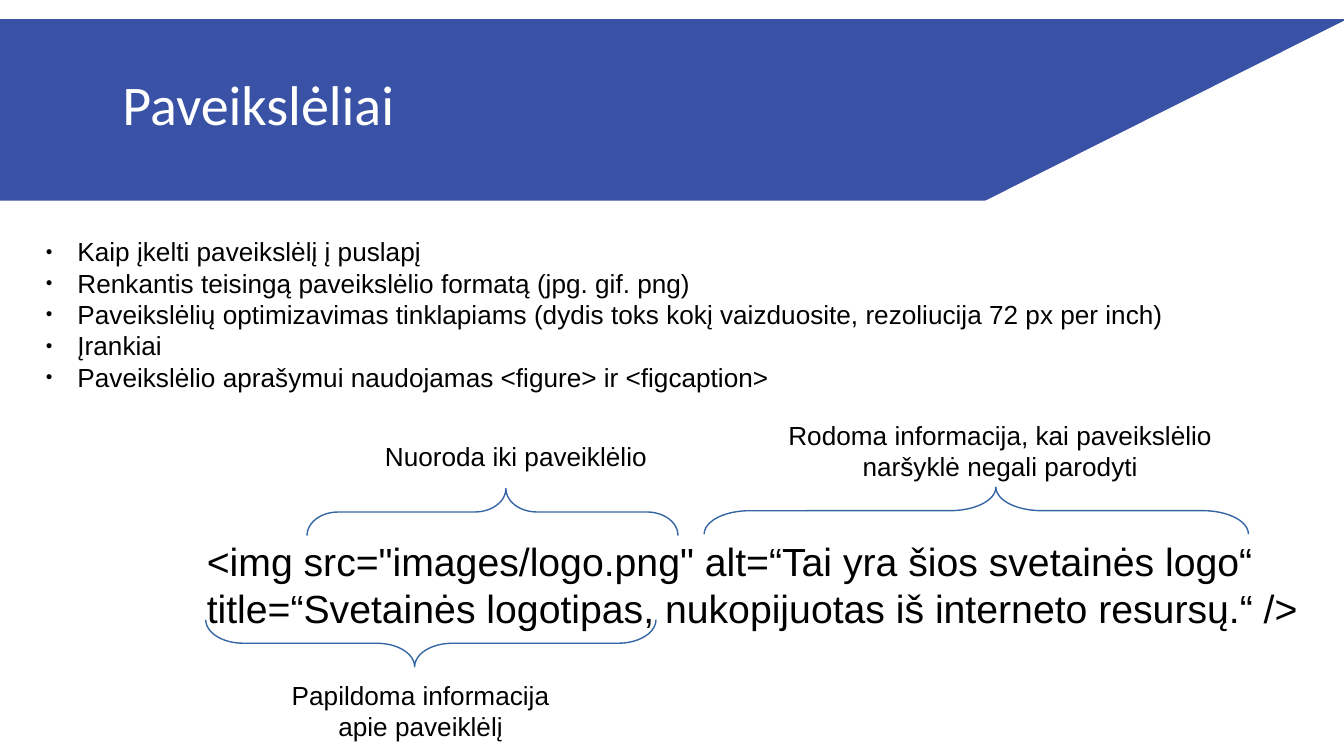
from dataclasses import dataclass

from lxml.etree import SubElement
from pptx import Presentation
from pptx.dml.color import RGBColor
from pptx.enum.shapes import MSO_SHAPE
from pptx.enum.text import MSO_ANCHOR, MSO_AUTO_SIZE, PP_ALIGN
from pptx.oxml.ns import qn
from pptx.util import Pt

BLUE = "3952A6"
BRACE_BLUE = "3465A4"
WHITE = "FFFFFF"
BLACK = "000000"
INDENT = 17
BRACE_DEPTH = 25.2
BRACE_TIP = 0.464

TOPICS = [
    "Kaip įkelti paveikslėlį į puslapį",
    "Renkantis teisingą paveikslėlio formatą (jpg. gif. png)",
    "Paveikslėlių optimizavimas tinklapiams (dydis toks kokį vaizduosite, rezoliucija 72 px per inch)",
    "Įrankiai",
    "Paveikslėlio aprašymui naudojamas <figure> ir <figcaption>",
]
IMG_TAG = [
    '<img src="images/logo.png" alt=“Tai yra šios svetainės logo“',
    "title=“Svetainės logotipas, nukopijuotas iš interneto resursų.“ />",
]


@dataclass
class Box:
    left: float
    top: float
    width: float
    height: float

    def lengths(self) -> tuple:
        return Pt(self.left), Pt(self.top), Pt(self.width), Pt(self.height)


@dataclass
class Annotation:
    caption: str
    caption_box: Box
    brace_left: float
    brace_top: float
    brace_length: float
    rotation: int


ANNOTATIONS = [
    Annotation("Nuoroda iki paveiklėlio", Box(198.7, 232.6, 155.5, 25.2),
               164.5, 261.7, 198.7, 90),
    Annotation("Papildoma informacija apie paveiklėlį", Box(147.6, 360.3, 155.5, 38.9),
               110.2, 332, 241.2, 270),
    Annotation("Rodoma informacija, kai paveikslėlio naršyklė negali parodyti",
               Box(413.8, 221, 244.1, 38.9), 377.2, 261, 291.6, 90),
]


def color(value: str) -> RGBColor:
    return RGBColor.from_string(value)


def add_preset(slide, preset, box: Box, fill: str | None, line: str | None, weight: float = 0):
    shape = slide.shapes.add_shape(preset, *box.lengths())
    shape.shadow.inherit = False
    if fill:
        shape.fill.solid()
        shape.fill.fore_color.rgb = color(fill)
    else:
        shape.fill.background()
    if line:
        shape.line.color.rgb = color(line)
        shape.line.width = Pt(weight)
    else:
        shape.line.fill.background()
    return shape


def write_text(holder, lines: list[str], size: float, font: str, ink: str,
               align=PP_ALIGN.LEFT, margin: float = 3.6, spacing: float = 1.0) -> None:
    frame = holder.text_frame
    frame.text = "\n".join(lines)
    frame.word_wrap = True
    frame.auto_size = MSO_AUTO_SIZE.NONE
    frame.vertical_anchor = MSO_ANCHOR.TOP
    frame.margin_left = frame.margin_right = Pt(7.2)
    frame.margin_top = frame.margin_bottom = Pt(margin)
    for paragraph in frame.paragraphs:
        paragraph.alignment = align
        paragraph.line_spacing = spacing
        paragraph.space_before = Pt(0)
        for run in paragraph.runs:
            run.font.size = Pt(size)
            run.font.name = font
            run.font.color.rgb = color(ink)


def place(holder, box: Box) -> None:
    holder.left, holder.top, holder.width, holder.height = box.lengths()


def add_bullet(paragraph) -> None:
    properties = paragraph._p.get_or_add_pPr()
    properties.set("marL", str(Pt(INDENT)))
    properties.set("indent", str(-Pt(INDENT)))
    bullet_color = SubElement(properties, qn("a:buClr"))
    SubElement(bullet_color, qn("a:srgbClr"), val=BLACK)
    SubElement(properties, qn("a:buSzPct"), val="45000")
    SubElement(properties, qn("a:buFont"), typeface="Arial")
    SubElement(properties, qn("a:buChar"), char="●")


def add_text(slide, box: Box, lines: list[str], size: float, align=PP_ALIGN.LEFT) -> None:
    holder = slide.shapes.add_textbox(*box.lengths())
    write_text(holder, lines, size, "Arial", BLACK, align)


def add_annotation(slide, note: Annotation) -> None:
    offset = (note.brace_length - BRACE_DEPTH) / 2
    upright = Box(note.brace_left + offset, note.brace_top - offset,
                  BRACE_DEPTH, note.brace_length)
    brace = add_preset(slide, MSO_SHAPE.LEFT_BRACE, upright, None, BRACE_BLUE)
    brace.rotation = note.rotation
    brace.adjustments[0] = note.brace_length / 12 / BRACE_DEPTH
    brace.adjustments[1] = BRACE_TIP
    add_text(slide, note.caption_box, [note.caption], 14, PP_ALIGN.CENTER)


def main() -> None:
    presentation = Presentation()
    presentation.slide_width, presentation.slide_height = Pt(720), Pt(405)
    slide = presentation.slides.add_slide(presentation.slide_layouts[1])
    title, topics = slide.placeholders

    banner = add_preset(slide, MSO_SHAPE.RECTANGLE, Box(0, 10.3, 720, 97.2), BLUE, None)
    corner = add_preset(slide, MSO_SHAPE.RIGHT_TRIANGLE,
                        Box(574.4, -36.5, 97.2, 193.7), WHITE, WHITE, 1)
    corner.rotation = 270
    title._element.addprevious(banner._element)
    title._element.addprevious(corner._element)

    place(title, Box(58.4, 35.3, 671, 45.4))
    write_text(title, ["Paveikslėliai"], 30, "Calibri", WHITE, margin=7.2, spacing=0.85)

    place(topics, Box(17.3, 119, 649.4, 259.2))
    write_text(topics, TOPICS, 14, "Arial", BLACK, margin=7.2)
    for paragraph in topics.text_frame.paragraphs:
        add_bullet(paragraph)

    add_text(slide, Box(103.7, 284.4, 600, 54), IMG_TAG, 21)
    for note in ANNOTATIONS:
        add_annotation(slide, note)

    presentation.save("out.pptx")


if __name__ == "__main__":
    main()
